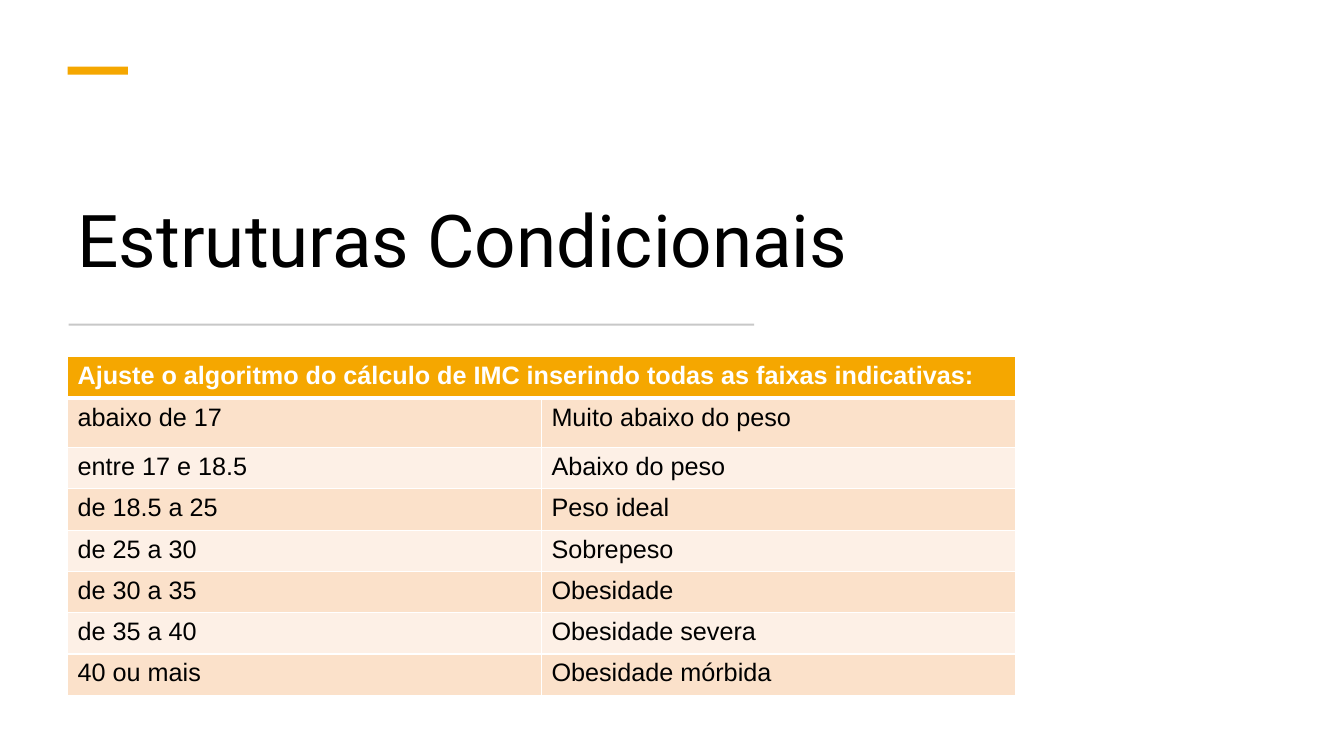
from dataclasses import dataclass

from lxml.etree import SubElement
from pptx import Presentation
from pptx.dml.color import RGBColor
from pptx.enum.shapes import MSO_SHAPE
from pptx.enum.text import MSO_ANCHOR, PP_ALIGN
from pptx.oxml.ns import qn
from pptx.util import Inches, Pt


@dataclass(frozen=True)
class Theme:
    accent: str = "F5A700"
    rule: str = "C8C8C8"
    bands: tuple = ("FBE1CA", "FDF0E6")
    dark: str = "000000"
    light: str = "FFFFFF"
    title_font: str = "Roboto"
    body_font: str = "Arial"
    title_size: int = 52
    body_size: int = 18
    border: float = 0.96
    header_border: float = 3


theme = Theme()
LEFT = Inches(0.67)
TABLE_TOP = Inches(3.54)
COLUMN_WIDTH = Inches(4.7)
ROW_HEIGHT = Inches(0.41)
FIRST_RANGE_HEIGHT = Inches(0.49)
HEADING = "Ajuste o algoritmo do cálculo de IMC inserindo todas as faixas indicativas:"
BMI_RANGES = [
    ("abaixo de 17", "Muito abaixo do peso"),
    ("entre 17 e 18.5", "Abaixo do peso"),
    ("de 18.5 a 25", "Peso ideal"),
    ("de 25 a 30", "Sobrepeso"),
    ("de 30 a 35", "Obesidade"),
    ("de 35 a 40", "Obesidade severa"),
    ("40 ou mais", "Obesidade mórbida"),
]


def style_text(paragraph, font_name, size, color, bold=False):
    paragraph.alignment = PP_ALIGN.LEFT
    for run in paragraph.runs:
        run.font.name = font_name
        run.font.size = Pt(size)
        run.font.bold = bold
        run.font.color.rgb = RGBColor.from_string(color)


def style_cell(cell, fill, top, bottom):
    """Give a cell white borders, with top and bottom widths in points, and a fill."""
    properties = cell._tc.get_or_add_tcPr()
    widths = {"a:lnL": theme.border, "a:lnR": theme.border, "a:lnT": top, "a:lnB": bottom}
    for side, width in widths.items():
        line = SubElement(properties, qn(side), w=str(Pt(width)))
        SubElement(SubElement(line, qn("a:solidFill")), qn("a:srgbClr"), val=theme.light)
    cell.fill.solid()
    cell.fill.fore_color.rgb = RGBColor.from_string(fill)


presentation = Presentation()
presentation.slide_width = Inches(13.33)
presentation.slide_height = Inches(7.5)
slide = presentation.slides.add_slide(presentation.slide_layouts[5])

# Accent bar and the rule below the title
bars = [
    (LEFT, Inches(0.66), Inches(0.6), Inches(0.08), theme.accent),
    (Inches(0.68), Inches(3.21), Inches(6.8), Inches(0.02), theme.rule),
]
for left, top, width, height, color in bars:
    shape = slide.shapes.add_shape(MSO_SHAPE.RECTANGLE, left, top, width, height)
    shape.shadow.inherit = False
    shape.fill.solid()
    shape.fill.fore_color.rgb = RGBColor.from_string(color)
    shape.line.fill.background()

# Title
title = slide.shapes.title
title.left, title.top = LEFT, Inches(1.18)
title.width, title.height = Inches(8.2), Inches(1.68)
title.text_frame.text = "Estruturas Condicionais"
title.text_frame.word_wrap = True
title.text_frame.vertical_anchor = MSO_ANCHOR.BOTTOM
title_paragraph = title.text_frame.paragraphs[0]
title_paragraph.line_spacing = 0.9
style_text(title_paragraph, theme.title_font, theme.title_size, theme.dark)

# Table: one heading across both columns, then the banded ranges
row_count = len(BMI_RANGES) + 1
table = slide.shapes.add_table(
    row_count, 2, LEFT, TABLE_TOP, COLUMN_WIDTH * 2, ROW_HEIGHT * row_count
).table
for column in table.columns:
    column.width = COLUMN_WIDTH
for row in table.rows:
    row.height = ROW_HEIGHT
table.rows[1].height = FIRST_RANGE_HEIGHT

heading = table.cell(0, 0)
heading.merge(table.cell(0, 1))
heading.text_frame.text = HEADING
style_text(heading.text_frame.paragraphs[0], theme.body_font, theme.body_size, theme.light, bold=True)
for cell in table.rows[0].cells:
    style_cell(cell, theme.accent, theme.border, theme.header_border)

for row_index, bmi_range in enumerate(BMI_RANGES, start=1):
    top_border = theme.header_border if row_index == 1 else theme.border
    for column_index, text in enumerate(bmi_range):
        cell = table.cell(row_index, column_index)
        cell.text_frame.text = text
        style_text(cell.text_frame.paragraphs[0], theme.body_font, theme.body_size, theme.dark)
        style_cell(cell, theme.bands[(row_index - 1) % 2], top_border, theme.border)

presentation.save("out.pptx")
